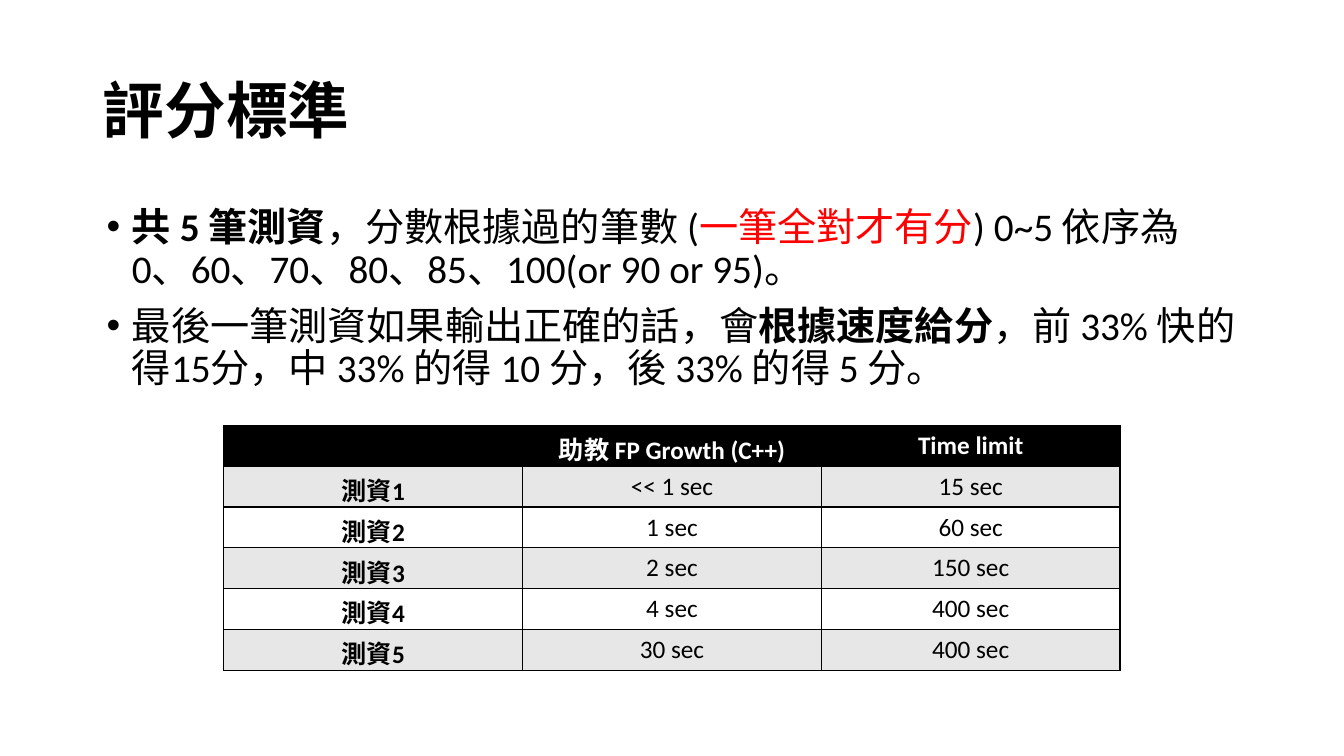
"""Build the grading criteria slide with its time limit table."""
from lxml.etree import SubElement
from pptx import Presentation
from pptx.dml.color import RGBColor
from pptx.enum.text import MSO_ANCHOR as Anchor, MSO_AUTO_SIZE as AutoSize, PP_ALIGN as Align
from pptx.oxml.ns import qn
from pptx.util import Inches, Pt

COLORS = {"black": "000000", "white": "FFFFFF", "red": "FF0000", "band": "E7E7E7"}


def add_run(p, text, size=28, color="black", bold=False):
    r = p.add_run()
    r.text = text
    r.font.name = "Calibri"
    r.font.size = Pt(size)
    r.font.bold = bold
    r.font.color.rgb = RGBColor.from_string(COLORS[color])


def add_borders(cell):
    tcPr = cell._tc.get_or_add_tcPr()
    for side in ("lnL", "lnR", "lnT", "lnB"):
        ln = SubElement(tcPr, qn(f"a:{side}"), w=str(Pt(1)))
        fill = SubElement(ln, qn("a:solidFill"))
        SubElement(fill, qn("a:srgbClr"), val=COLORS["black"])


prs = Presentation()
prs.slide_width, prs.slide_height = Inches(13.33), Inches(7.5)
s = prs.slides.add_slide(prs.slide_layouts[5])

title = s.shapes.title
title.left, title.top = Inches(0.92), Inches(0.4)
title.width, title.height = Inches(11.5), Inches(1.45)
tf = title.text_frame
tf.vertical_anchor = Anchor.MIDDLE
tf.auto_size = AutoSize.NONE
p = tf.paragraphs[0]
p.alignment = Align.LEFT
p.line_spacing = 0.9
add_run(p, "評分標準", size=44, bold=True)

rules = [
    [("共 5 筆測資", {"bold": True}),
     ("，分數根據過的筆數 (", {}),
     ("一筆全對才有分", {"color": "red"}),
     (") 0~5 依序為 0、60、70、80、85、100(or 90 or 95)。", {})],
    [("最後一筆測資如果輸出正確的話，會", {}),
     ("根據速度給分", {"bold": True}),
     ("，前 33% 快的得15分，中 33% 的得 10 分，後 33% 的得 5 分。", {})],
]
body = s.shapes.add_textbox(Inches(0.96), Inches(2.01), Inches(11.5), Inches(4.76))
tf = body.text_frame
tf.word_wrap = True
for i, rule in enumerate(rules):
    p = tf.add_paragraph() if i else tf.paragraphs[0]
    p.line_spacing = 0.9
    p.space_before = Pt(10)
    pPr = p._p.get_or_add_pPr()
    pPr.set("marL", str(Inches(0.25)))
    pPr.set("indent", str(Inches(-0.25)))
    SubElement(pPr, qn("a:buFont"), typeface="Arial")
    SubElement(pPr, qn("a:buChar"), char="•")
    for text, style in rule:
        add_run(p, text, **style)

rows = [
    ("", "助教 FP Growth (C++)", "Time limit"),
    ("測資1", "<< 1 sec", "15 sec"),
    ("測資2", "1 sec", "60 sec"),
    ("測資3", "2 sec", "150 sec"),
    ("測資4", "4 sec", "400 sec"),
    ("測資5", "30 sec", "400 sec"),
]
table = s.shapes.add_table(len(rows), 3, Inches(2.22), Inches(4.22),
                           Inches(8.89), Inches(2.43)).table
for i, row in enumerate(rows):
    fill = "black" if i == 0 else "band" if i % 2 else "white"
    for j, text in enumerate(row):
        cell = table.cell(i, j)
        add_borders(cell)
        cell.fill.solid()
        cell.fill.fore_color.rgb = RGBColor.from_string(COLORS[fill])
        p = cell.text_frame.paragraphs[0]
        p.alignment = Align.CENTER
        if text:
            add_run(p, text, size=18, color="black" if i else "white", bold=i == 0 or j == 0)

prs.save("out.pptx")
